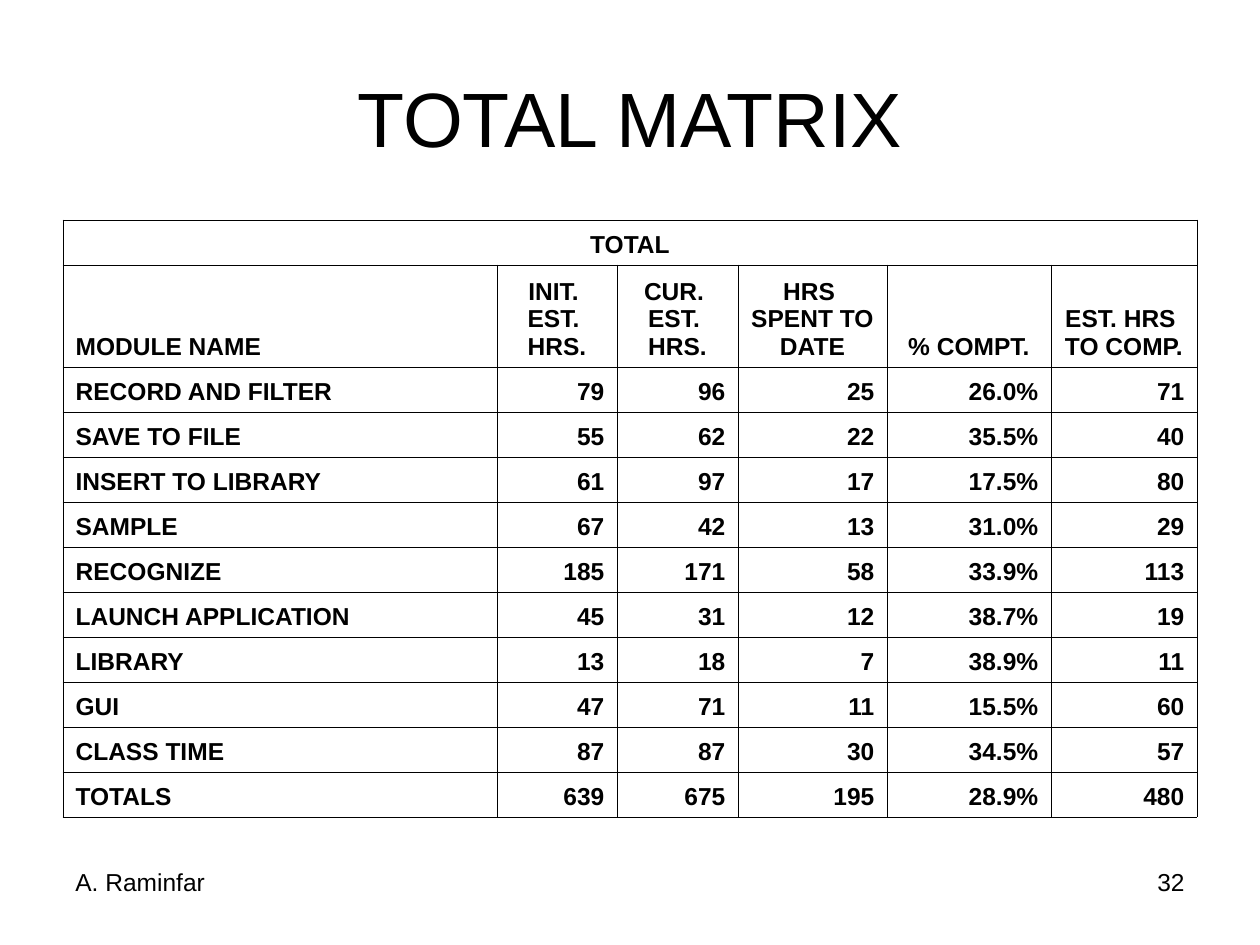
from dataclasses import dataclass

from lxml import etree
from pptx import Presentation
from pptx.dml.color import RGBColor
from pptx.enum.text import MSO_ANCHOR, PP_ALIGN
from pptx.oxml.ns import qn
from pptx.util import Inches, Pt

LEFT, MID, RIGHT = PP_ALIGN.LEFT, PP_ALIGN.CENTER, PP_ALIGN.RIGHT
TOP, CENTER, LOW = MSO_ANCHOR.TOP, MSO_ANCHOR.MIDDLE, MSO_ANCHOR.BOTTOM
PX = Inches(1) / 126


def emu(px):
    return round(px * PX)


@dataclass
class Theme:
    font: str = "Arial"
    ink: str = "000000"
    paper: str = "FFFFFF"
    title: int = 44
    text: int = 14
    rule: float = 0.45


class Page:
    """Holds the theme and the slide being built."""

    def __init__(self, slide, theme):
        self.slide = slide
        self.theme = theme

    def text(self, frame, lines, size, align, bold=False):
        for i, line in enumerate(lines):
            para = frame.paragraphs[0] if i == 0 else frame.add_paragraph()
            para.alignment = align
            run = para.add_run()
            run.text = line
            font = run.font
            font.name, font.size, font.bold = self.theme.font, Pt(size), bold
            font.color.rgb = RGBColor.from_string(self.theme.ink)

    def place(self, shape, box):
        shape.left, shape.top, shape.width, shape.height = map(emu, box)

    def title(self, text, box):
        shape = self.slide.shapes.title
        self.place(shape, box)
        shape.text_frame.vertical_anchor = CENTER
        self.text(shape.text_frame, [text], self.theme.title, MID)

    def label(self, text, box, align):
        shape = self.slide.shapes.add_textbox(*map(emu, box))
        frame = shape.text_frame
        frame.word_wrap = True
        frame.vertical_anchor = TOP
        self.text(frame, [text], self.theme.text, align)

    def border(self, cell):
        props = cell._tc.get_or_add_tcPr()
        for side in ("a:lnL", "a:lnR", "a:lnT", "a:lnB"):
            line = etree.SubElement(props, qn(side), w=str(Pt(self.theme.rule)))
            fill = etree.SubElement(line, qn("a:solidFill"))
            etree.SubElement(fill, qn("a:srgbClr"), val=self.theme.ink)

    def table(self, left, top, cols, heights, band, head, rows):
        """Draw a table with a merged band on top, column heads and rows."""
        box = (left, top, sum(cols), sum(heights))
        table = self.slide.shapes.add_table(
            len(heights), len(cols), *map(emu, box)).table
        table.first_row = table.horz_banding = False
        for col, width in zip(table.columns, cols):
            col.width = emu(width)
        for row, height in zip(table.rows, heights):
            row.height = emu(height)
        for cell in table.iter_cells():
            self.border(cell)
            cell.fill.solid()
            cell.fill.fore_color.rgb = RGBColor.from_string(self.theme.paper)
            cell.vertical_anchor = LOW
        table.cell(0, 0).merge(table.cell(0, len(cols) - 1))

        size = self.theme.text
        self.text(table.cell(0, 0).text_frame, [band], size, MID, True)
        for r, row in enumerate([head, *rows], 1):
            for c, text in enumerate(row):
                align = LEFT if c == 0 else MID if r == 1 else RIGHT
                frame = table.cell(r, c).text_frame
                self.text(frame, text.split("\n"), size, align, True)


HEAD = ["MODULE NAME", "INIT. \nEST. \nHRS.", "CUR. \nEST. \nHRS.",
        "HRS \nSPENT TO \nDATE", "% COMPT.", "EST. HRS \nTO COMP."]
ROWS = [
    ["RECORD AND FILTER", "79", "96", "25", "26.0%", "71"],
    ["SAVE TO FILE", "55", "62", "22", "35.5%", "40"],
    ["INSERT TO LIBRARY", "61", "97", "17", "17.5%", "80"],
    ["SAMPLE", "67", "42", "13", "31.0%", "29"],
    ["RECOGNIZE", "185", "171", "58", "33.9%", "113"],
    ["LAUNCH APPLICATION", "45", "31", "12", "38.7%", "19"],
    ["LIBRARY", "13", "18", "7", "38.9%", "11"],
    ["GUI", "47", "71", "11", "15.5%", "60"],
    ["CLASS TIME", "87", "87", "30", "34.5%", "57"],
    ["TOTALS", "639", "675", "195", "28.9%", "480"],
]


def main():
    deck = Presentation()
    deck.slide_width, deck.slide_height = emu(1260), emu(945)
    page = Page(deck.slides.add_slide(deck.slide_layouts[5]), Theme())
    page.title("TOTAL MATRIX", (63, 38, 1134, 157))
    page.table(63, 220, [434, 120, 121, 149, 164, 146],
               [45, 102] + [45] * len(ROWS), "TOTAL", HEAD, ROWS)
    page.label("32", (903, 861, 294, 65), RIGHT)
    page.label("A. Raminfar", (63, 861, 294, 65), LEFT)
    deck.save("out.pptx")


if __name__ == "__main__":
    main()
